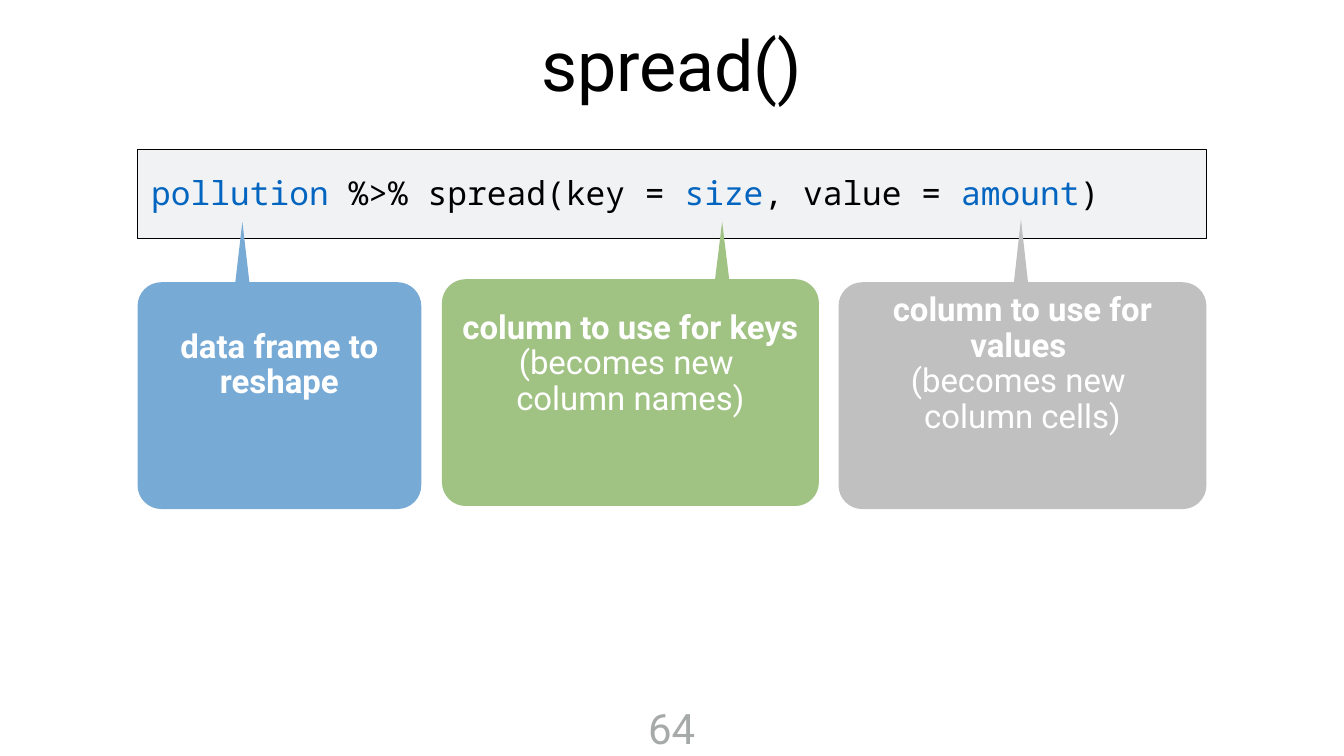
from dataclasses import dataclass

from lxml import etree
from pptx import Presentation
from pptx import util as u
from pptx.dml.color import RGBColor
from pptx.enum import shapes, text
from pptx.oxml.ns import qn

PX = 9144  # 100 px to the inch
RADIUS = 47
HALF = 14  # half the width of a pointer's base
BEND = 0.55  # reach of a quarter circle's control points


@dataclass(frozen=True)
class Theme:
    sans: str = "Roboto"
    mono: str = "Noto Sans Mono"
    title: int = 100
    body: int = 47
    page: int = 60
    black: str = "000000"
    white: str = "FFFFFF"
    panel: str = "F0F2F4"
    accent: str = "0365C0"
    blue: str = "78AAD6"
    green: str = "A0C283"
    gray: str = "C0C0C0"
    number: str = "A6AAA9"


T = Theme()


def px(*nums):
    return [u.Emu(n * PX) for n in nums]


def paint(shape, fill, line=None):
    shape.shadow.inherit = False
    shape.fill.solid()
    shape.fill.fore_color.rgb = RGBColor.from_string(fill)
    if line:
        shape.line.color.rgb = RGBColor.from_string(line)
        shape.line.width = u.Pt(1)
    else:
        shape.line.fill.background()


def set_frame(shape, inset, anchor=text.MSO_ANCHOR.TOP):
    frame = shape.text_frame
    frame.word_wrap = True
    frame.auto_size = text.MSO_AUTO_SIZE.NONE
    frame.vertical_anchor = anchor
    (gap,) = px(inset)
    frame.margin_left = frame.margin_right = gap
    frame.margin_top = frame.margin_bottom = gap
    return frame


def add_run(para, words, size, color, face=T.sans, bold=False):
    run = para.add_run()
    run.text = words
    font = run.font
    font.name, font.size, font.bold = face, u.Pt(size), bold
    font.color.rgb = RGBColor.from_string(color)


def add_title(slide, words):
    title = slide.shapes.title
    title.left, title.top, title.width, title.height = px(438, -4, 1790, 262)
    para = set_frame(title, 6, text.MSO_ANCHOR.MIDDLE).paragraphs[0]
    para.alignment = text.PP_ALIGN.CENTER
    add_run(para, words, T.title, T.black)


def add_code(slide, parts):
    bar = slide.shapes.add_shape(shapes.MSO_SHAPE.RECTANGLE, *px(273, 296, 2120, 177))
    paint(bar, T.panel, T.black)
    box = slide.shapes.add_textbox(*px(294, 337, 1919, 156))
    para = set_frame(box, 6).paragraphs[0]
    for words, color in parts:
        add_run(para, words, T.body, color, T.mono)


def outline(left, top, width, height, tip):
    """Points from the tip leftwards, with two for each corner."""
    right, base = left + width, top + height
    x1, x2 = left + RADIUS, right - RADIUS
    y1, y2 = top + RADIUS, base - RADIUS
    return [tip, (tip[0] - HALF, top),
            (x1, top), (left, y1), (left, y2), (x1, base),
            (x2, base), (right, y2), (right, y1), (x2, top),
            (tip[0] + HALF, top)]


def round_corners(shape):
    """Turn the line across each corner into a quarter circle."""
    lines = list(shape._element.iter(qn("a:lnTo")))
    for i in range(4):
        first, last = lines[2 * i + 1], lines[2 * i + 2]
        start, end = [(int(line[0].get("x")), int(line[0].get("y")))
                      for line in (first, last)]
        corner = (start[0], end[1]) if i % 2 else (end[0], start[1])
        curve = etree.Element(qn("a:cubicBezTo"))
        for point in (start, end):
            spot = [round(p + BEND * (c - p)) for p, c in zip(point, corner)]
            etree.SubElement(curve, qn("a:pt"), x=str(spot[0]), y=str(spot[1]))
        curve.append(last[0])
        last.getparent().replace(last, curve)


def add_callout(slide, box, tip, fill, lines):
    start, *rest = [px(*point) for point in outline(*box, tip)]
    pen = slide.shapes.build_freeform(*start)
    pen.add_line_segments(rest, close=True)
    shape = pen.convert_to_shape()
    round_corners(shape)
    paint(shape, fill)
    frame = set_frame(shape, 8, text.MSO_ANCHOR.MIDDLE)
    for i, runs in enumerate(lines):
        para = frame.add_paragraph() if i else frame.paragraphs[0]
        para.alignment = text.PP_ALIGN.CENTER
        para.line_spacing = 0.9
        for words, bold in runs:
            add_run(para, words, T.body, T.white, bold=bold)


def add_number(slide, words):
    box = slide.shapes.add_textbox(*px(1278, 1385, 110, 116))
    frame = set_frame(box, 8)
    frame.word_wrap = False
    frame.auto_size = text.MSO_AUTO_SIZE.SHAPE_TO_FIT_TEXT
    para = frame.paragraphs[0]
    para.alignment = text.PP_ALIGN.CENTER
    add_run(para, words, T.page, T.number)


def main():
    deck = Presentation()
    deck.slide_width, deck.slide_height = px(2667, 1500)
    slide = deck.slides.add_slide(deck.slide_layouts.get_by_name("Title Only"))
    add_title(slide, "spread()")
    add_code(slide, [("pollution", T.accent), (" %>% spread(key = ", T.black),
                     ("size", T.accent), (", value =", T.black),
                     (" amount", T.accent), (")", T.black)])
    callouts = [
        ((877, 554, 748, 450), (1433, 440), T.green,
         [[("column to use for keys ", True), ("(becomes new ", False)],
          [("column names)", False)]]),
        ((273, 560, 563, 450), (481, 440), T.blue,
         [[("data frame to reshape", True)]]),
        ((1664, 560, 730, 450), (2026, 435), T.gray,
         [[("column to use for values ", True)],
          [("(becomes new ", False)], [("column cells)", False)]]),
    ]
    for callout in callouts:
        add_callout(slide, *callout)
    add_number(slide, "64")
    deck.save("out.pptx")


if __name__ == "__main__":
    main()
